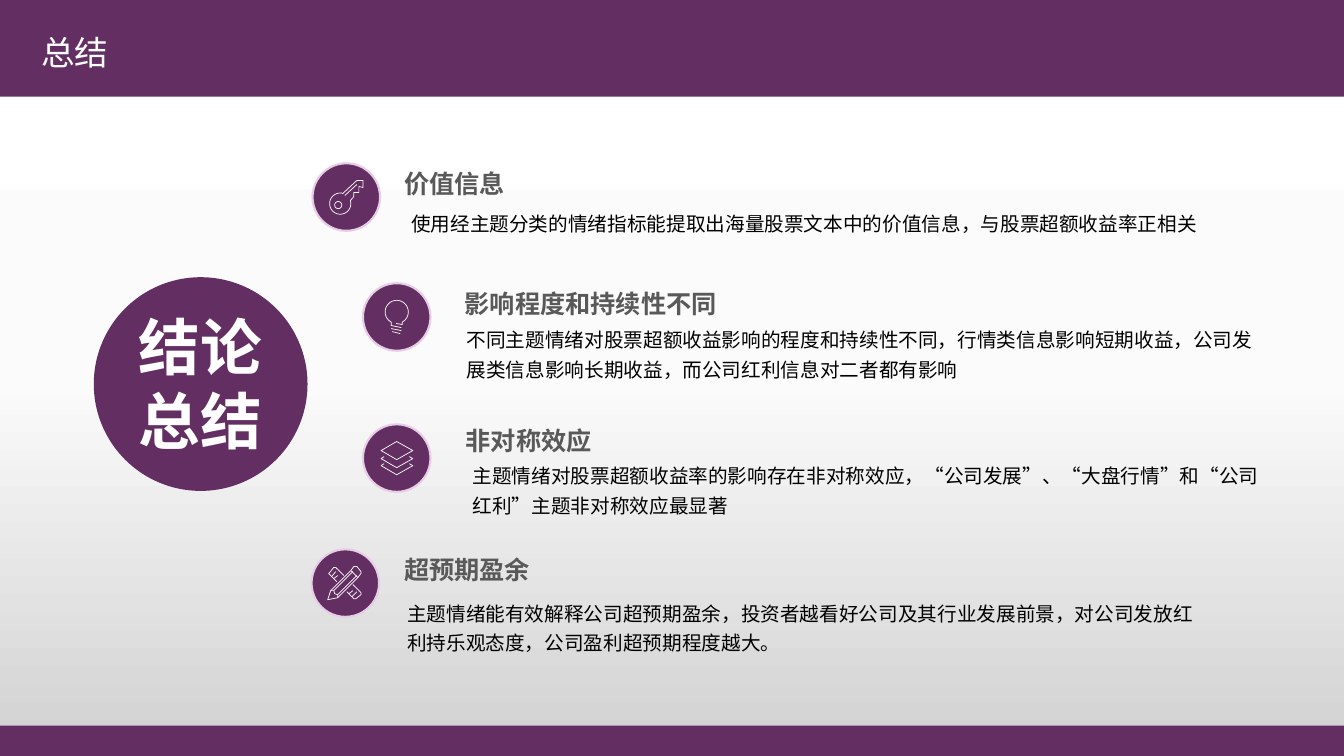
from copy import deepcopy
from math import cos, radians, sin

from pptx import Presentation
from pptx.dml.color import RGBColor
from pptx.enum.lang import MSO_LANGUAGE_ID
from pptx.enum.shapes import MSO_CONNECTOR, MSO_SHAPE
from pptx.enum.text import MSO_ANCHOR, PP_ALIGN
from pptx.oxml.ns import qn
from pptx.util import Inches, Pt

RECT, OVAL = MSO_SHAPE.RECTANGLE, MSO_SHAPE.OVAL
STRAIGHT = MSO_CONNECTOR.STRAIGHT
CENTER, LEFT, JUSTIFY = PP_ALIGN.CENTER, PP_ALIGN.LEFT, PP_ALIGN.JUSTIFY
TOP, MIDDLE = MSO_ANCHOR.TOP, MSO_ANCHOR.MIDDLE
CHINESE = MSO_LANGUAGE_ID.SIMPLIFIED_CHINESE

PURPLE = RGBColor(0x63, 0x2E, 0x62)
PINK = RGBColor(0xE8, 0xCD, 0xE7)
WHITE = RGBColor(0xFF, 0xFF, 0xFF)
GRAY = RGBColor(0x59, 0x59, 0x59)
BLACK = RGBColor(0, 0, 0)
BACKDROP = [(0, WHITE), (0.5, RGBColor(0xFB, 0xFB, 0xFB)),
            (1, RGBColor(0xD1, 0xD1, 0xD1))]

SANS, SERIF, TITLE_FONT = "Noto Sans CJK SC", "Times New Roman", "Montserrat"
WIDTH, HEIGHT = 13.33, 7.5
BADGE = 0.67        # diameter of an icon badge
HEADING_H = 0.4
BODY_W = 8.04

HEADING_STYLE = {"name": SANS, "size": Pt(18), "bold": True}
BODY_STYLE = {"name": SERIF, "size": Pt(14)}
TITLE_STYLE = {"name": TITLE_FONT, "size": Pt(24)}
HUB_STYLE = {"name": SANS, "size": Pt(44), "bold": True}


def arc(cx, cy, radius, start, end, steps=36):
    angles = [radians(start + (end - start) * i / steps) for i in range(steps + 1)]
    return [(cx + radius * cos(a), cy + radius * sin(a)) for a in angles]


def closed(points):
    return points + points[:1]


# Icon strokes, in hundredths of an inch from the badge's top left corner
KEY = [
    closed([(44, 17), (30, 30)] + arc(27.5, 40, 10.5, -76, -377)
           + [(41, 33), (41, 29), (46, 29), (46, 23), (50, 24), (50, 17)]),
    closed(arc(25.5, 41.5, 3.5, 0, 350)),
    [(44, 21), (32, 32)],
]
BULB = [
    [(38, 44), (28, 42), (28, 39)] + arc(33.5, 28.5, 11.5, 118, 422)
    + [(39, 41), (33, 40)],
    [(38, 47), (28, 45)],
    [(37, 50), (29, 48)],
]
LAYERS = [closed([(33.5, 17), (18, 26), (33.5, 35), (49.5, 26)])] + [
    [(21, y), (18, y + 2), (33.5, y + 11), (49.5, y + 2), (46, y)] for y in (32, 39)]
PENCIL_AND_RULER = [
    closed([(49, 22), (45, 17), (42, 17), (39, 21), (19, 41), (16, 50),
            (26, 48), (46, 28), (49, 24)]),
    [(39, 21), (46, 28)],
    [(41, 22), (22, 41)],
    [(45, 26), (26, 45)],
    [(19, 41), (22, 41), (23, 44), (26, 45), (26, 48)],
    [(20, 27), (24, 22)],
    [(22, 29), (26, 26)],
    [(40, 47), (45, 42)],
    [(37, 44), (41, 41)],
    [(32, 26), (24, 18), (22, 18), (18, 23), (17, 24), (18, 25), (25, 32)],
    [(35, 42), (42, 49), (44, 49), (49, 45), (49, 43), (41, 35)],
]

# Badge corner, icon, heading box (left, top, width), heading, body corner,
# body height, alignment, line spacing, body text
FINDINGS = [
    ((3.1, 1.62), KEY, (3.91, 1.62, 1.21), "价值信息",
     (3.98, 2.01), 0.36, JUSTIFY, 1.2,
     "使用经主题分类的情绪指标能提取出海量股票文本中的价值信息，与股票超额收益率正相关"),
    ((3.6, 2.81), BULB, (4.51, 2.81, 2.75), "影响程度和持续性不同",
     (4.53, 3.15), 0.66, LEFT, 1.25,
     "不同主题情绪对股票超额收益影响的程度和持续性不同，行情类信息影响短期收益，"
     "公司发展类信息影响长期收益，而公司红利信息对二者都有影响"),
    ((3.6, 4.21), LAYERS, (4.52, 4.17, 2.18), "非对称效应",
     (4.59, 4.5), 0.66, LEFT, 1.25,
     "主题情绪对股票超额收益率的影响存在非对称效应，“公司发展”、“大盘行情”和"
     "“公司红利”主题非对称效应最显著"),
    ((3.09, 5.45), PENCIL_AND_RULER, (3.91, 5.45, 2.18), "超预期盈余",
     (3.94, 5.86), 0.66, LEFT, 1.25,
     "主题情绪能有效解释公司超预期盈余，投资者越看好公司及其行业发展前景，"
     "对公司发放红利持乐观态度，公司盈利超预期程度越大。"),
]


def add_filled(shapes, kind, box, line=None):
    shape = shapes.add_shape(kind, *map(Inches, box))
    shape.shadow.inherit = False
    shape.fill.solid()
    shape.fill.fore_color.rgb = PURPLE
    if line is None:
        shape.line.fill.background()
    else:
        shape.line.color.rgb = line
        shape.line.width = Pt(1.5)


def add_text(shapes, box, text, style, color, align=LEFT, spacing=None, anchor=TOP):
    frame = shapes.add_textbox(*map(Inches, box)).text_frame
    frame.word_wrap = True
    frame.vertical_anchor = anchor
    paragraph = frame.paragraphs[0]
    paragraph.alignment = align
    paragraph.line_spacing = spacing
    run = paragraph.add_run()
    run.text = text
    for key, value in style.items():
        setattr(run.font, key, value)
    run.font.color.rgb = color
    run.font.language_id = CHINESE
    latin = run.font._element.find(qn("a:latin"))
    east_asian = latin.makeelement(qn("a:ea"), {"typeface": SANS})
    latin.addnext(east_asian)


def add_stroke(shapes, left, top, points):
    spots = [(Inches(left + x / 100), Inches(top + y / 100)) for x, y in points]
    if len(spots) == 2:
        stroke = shapes.add_connector(STRAIGHT, *spots[0], *spots[1])
        properties = stroke._element.spPr
        properties.append(properties.makeelement(qn("a:effectLst"), {}))
    else:
        builder = shapes.build_freeform(*spots[0])
        builder.add_line_segments(spots[1:], close=spots[0] == spots[-1])
        stroke = builder.convert_to_shape()
        stroke.fill.background()
        stroke.shadow.inherit = False
    stroke.line.color.rgb = WHITE
    stroke.line.width = Pt(0.5)


def paint_background(slide):
    fill = slide.background.fill
    fill.gradient()
    fill.gradient_angle = 270
    stops = slide.element.find(".//" + qn("a:gsLst"))
    stops.append(deepcopy(stops[-1]))
    for stop, (position, color) in zip(fill.gradient_stops, BACKDROP):
        stop.position = position
        stop.color.rgb = color


def add_bands(shapes, title):
    add_filled(shapes, RECT, (0, 0, WIDTH, 0.96))
    add_filled(shapes, RECT, (0, HEIGHT - 0.3, WIDTH, 0.3))
    add_text(shapes, (0.31, 0.21, 11.5, 0.66), title, TITLE_STYLE, WHITE,
             spacing=0.9, anchor=MIDDLE)


def add_hub(shapes, left, top, size, label):
    hub = shapes.add_group_shape().shapes
    add_filled(hub, OVAL, (left, top, size, size))
    add_text(hub, (left + 0.22, top + 0.27, size - 0.44, size - 0.54), label,
             HUB_STYLE, WHITE, CENTER)


def add_finding(shapes, corner, icon, heading_box, heading,
                body_corner, body_height, align, spacing, body):
    badge = shapes.add_group_shape().shapes
    add_filled(badge, OVAL, (*corner, BADGE, BADGE), PINK)
    for points in icon:
        add_stroke(badge, *corner, points)
    add_text(shapes, (*heading_box, HEADING_H), heading, HEADING_STYLE, GRAY)
    add_text(shapes, (*body_corner, BODY_W, body_height), body, BODY_STYLE, BLACK,
             align, spacing)


def main():
    deck = Presentation()
    deck.slide_width, deck.slide_height = Inches(WIDTH), Inches(HEIGHT)
    slide = deck.slides.add_slide(deck.slide_layouts[6])
    paint_background(slide)
    add_bands(slide.shapes, "总结")
    add_hub(slide.shapes, 0.93, 2.75, 2.12, "结论总结")
    for finding in FINDINGS:
        add_finding(slide.shapes, *finding)
    deck.save("out.pptx")


if __name__ == "__main__":
    main()
